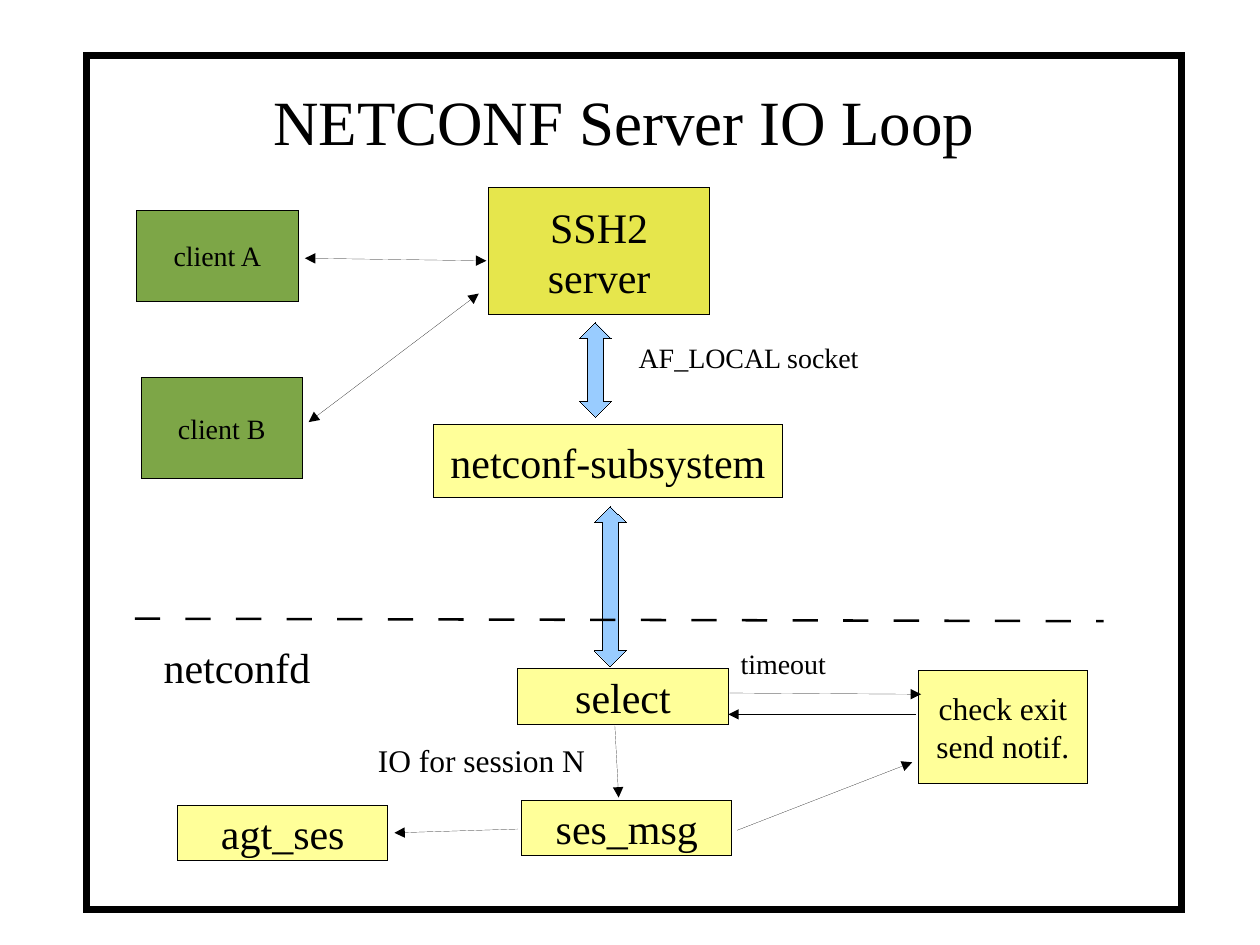
from lxml.etree import SubElement
from pptx import Presentation
from pptx.dml.color import RGBColor
from pptx.enum.shapes import MSO_CONNECTOR, MSO_SHAPE
from pptx.enum.text import MSO_ANCHOR, MSO_AUTO_SIZE, PP_ALIGN
from pptx.oxml.ns import qn
from pptx.util import Emu, Inches, Pt

FONT = "Times New Roman"
BLACK = "000000"
WHITE = "FFFFFF"
GREEN = "7DA647"
OLIVE = "E6E64C"
YELLOW = "FFFF99"
BLUE = "99CCFF"
HAIRLINE = Emu(1)  # a width of 0 is not written, so the theme's width would apply


def color(hex_string):
    return RGBColor.from_string(hex_string)


def write(frame, text, size=24, align=PP_ALIGN.LEFT, anchor=MSO_ANCHOR.TOP, wrap=True):
    frame.word_wrap = wrap
    frame.vertical_anchor = anchor
    paragraph = frame.paragraphs[0]
    paragraph.text = text
    paragraph.alignment = align
    for run in paragraph.runs:
        run.font.name = FONT
        run.font.size = Pt(size)
        run.font.color.rgb = color(BLACK)


def add_outlined(slide, preset, bounds, fill, width=HAIRLINE):
    shape = slide.shapes.add_shape(preset, *map(Inches, bounds))
    shape.shadow.inherit = False
    shape.fill.solid()
    shape.fill.fore_color.rgb = color(fill)
    shape.line.color.rgb = color(BLACK)
    shape.line.width = width
    SubElement(shape.line._get_or_add_ln(), qn("a:miter"), lim="800000")
    return shape


def add_node(slide, text, bounds, fill=YELLOW, size=24):
    node = add_outlined(slide, MSO_SHAPE.RECTANGLE, bounds, fill)
    write(node.text_frame, text, size=size, align=PP_ALIGN.CENTER, anchor=MSO_ANCHOR.MIDDLE)


def add_label(slide, text, bounds, size):
    label = slide.shapes.add_textbox(*map(Inches, bounds))
    write(label.text_frame, text, size=size, wrap=False)
    label.text_frame.auto_size = MSO_AUTO_SIZE.SHAPE_TO_FIT_TEXT


def add_channel(slide, bounds, head_ratio):
    """Add a vertical two-way block arrow; head_ratio is head length to width."""
    channel = add_outlined(slide, MSO_SHAPE.UP_DOWN_ARROW, bounds, BLUE)
    channel.adjustments[0] = head_ratio
    channel.adjustments[1] = 0.5


def add_line(slide, start, end, width=HAIRLINE):
    line = slide.shapes.add_connector(MSO_CONNECTOR.STRAIGHT, *map(Inches, start + end))
    line.line.color.rgb = color(BLACK)
    line.line.width = width
    SubElement(line._element.spPr, qn("a:effectLst"))
    return line.line._get_or_add_ln()


def add_arrow(slide, start, end, two_way=False):
    outline = add_line(slide, start, end)
    for tag in ("a:headEnd", "a:tailEnd") if two_way else ("a:tailEnd",):
        SubElement(outline, qn(tag), type="triangle")


def add_boundary(slide, start, end):
    """Add a long-dashed line whose dashes and gaps are ten widths long."""
    outline = add_line(slide, start, end, width=Pt(1.45))
    dashes = SubElement(outline, qn("a:custDash"))
    SubElement(dashes, qn("a:ds"), d="1000000", sp="1000000")


def main():
    prs = Presentation()
    prs.slide_width, prs.slide_height = Inches(10), Inches(7.5)
    slide = prs.slides.add_slide(prs.slide_layouts[6])

    add_outlined(slide, MSO_SHAPE.RECTANGLE, (0.69, 0.44, 8.69, 6.78), WHITE, width=Pt(4))
    add_label(slide, "NETCONF Server IO Loop", (2.07, 0.61, 5.77, 0.7), 36)

    # Clients and the SSH front end
    add_node(slide, "client A", (1.08, 1.67, 1.29, 0.72), GREEN, 16)
    add_node(slide, "client B", (1.12, 3, 1.28, 0.8), GREEN, 16)
    add_node(slide, "SSH2\nserver", (3.88, 1.49, 1.75, 1.01), OLIVE)
    add_node(slide, "netconf-subsystem", (3.44, 3.37, 2.77, 0.58))
    add_arrow(slide, (2.42, 2.05), (3.86, 2.07), two_way=True)
    add_arrow(slide, (2.45, 3.35), (3.8, 2.33), two_way=True)
    add_label(slide, "AF_LOCAL socket", (4.97, 2.65, 1.95, 0.37), 16)
    add_channel(slide, (4.6, 2.56, 0.25, 0.75), 0.6)
    add_channel(slide, (4.72, 4.02, 0.25, 1.27), 1.01)

    # The netconfd process
    add_boundary(slide, (1.07, 4.91), (8.76, 4.93))
    add_label(slide, "netconfd", (1.2, 5.04, 1.37, 0.5), 24)
    for step, left, top in (
        ("select", 4.11, 5.31),
        ("ses_msg", 4.14, 6.35),
        ("agt_ses", 1.41, 6.39),
    ):
        add_node(slide, step, (left, top, 1.67, 0.44))
    add_node(slide, "check exit\nsend notif.", (7.29, 5.32, 1.34, 0.9), size=18)
    add_label(slide, "timeout", (5.78, 5.08, 0.88, 0.38), 16)
    add_label(slide, "IO for session N", (2.9, 5.83, 1.88, 0.4), 18)
    for start, end in (
        ((4.88, 5.76), (4.91, 6.33)),
        ((5.85, 6.59), (7.24, 6.05)),
        ((5.79, 5.5), (7.31, 5.51)),
        ((7.27, 5.67), (5.78, 5.67)),
        ((4.11, 6.58), (3.13, 6.61)),
    ):
        add_arrow(slide, start, end)

    prs.save("out.pptx")


if __name__ == "__main__":
    main()
